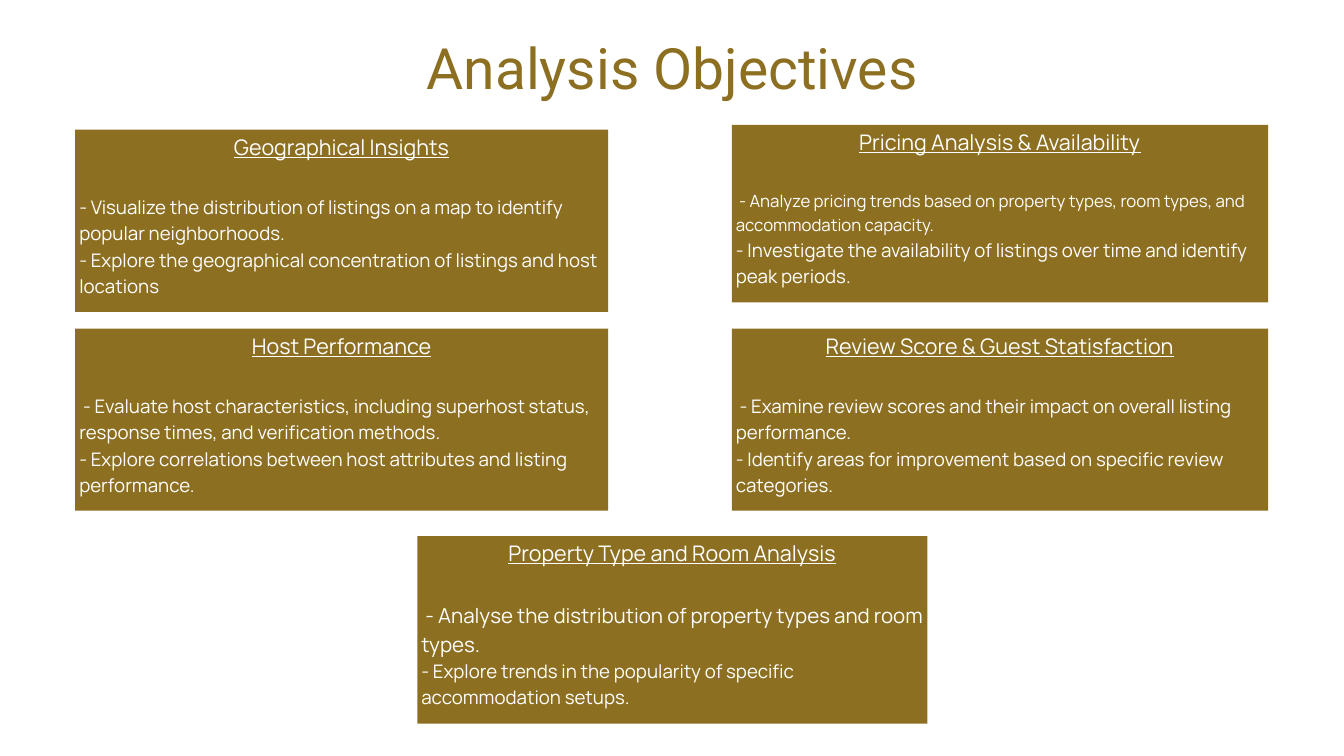
"""Build the Analysis Objectives slide: a title over five objective cards."""
import pptx
import pptx.dml.color
import pptx.enum.shapes
import pptx.enum.text
import pptx.util

GOLD = pptx.dml.color.RGBColor(0x8D, 0x6F, 0x22)
WHITE = pptx.dml.color.RGBColor(0xFF, 0xFF, 0xFF)
WIDTH, HEIGHT = pptx.util.Inches(20), pptx.util.Inches(11.25)
HEADING_FONT, BODY_FONT = "Roboto", "Manrope"
HEADING_SIZE, BODY_SIZE = 23, 20
LINE_RATIO = 1.4

LEFT, RIGHT, MIDDLE = (5.6, 39.65), (54.45, 39.9), (31.05, 37.95)
TOP_LEFT, TOP_RIGHT = (17.16, 24.09), (16.53, 23.47)
CENTRE, BOTTOM = (43.47, 24.09), (70.93, 24.8)

CARDS = [
    (LEFT, TOP_LEFT, "Geographical Insights", [
        ("- Visualize the distribution of listings on a map to identify popular neighborhoods.", BODY_SIZE),
        ("- Explore the geographical concentration of listings and host locations", BODY_SIZE)]),
    (RIGHT, TOP_RIGHT, "Pricing Analysis & Availability", [
        (" - Analyze pricing trends based on property types, room types, and accommodation capacity.", 18),
        ("- Investigate the availability of listings over time and identify peak periods.", BODY_SIZE)]),
    (LEFT, CENTRE, "Host Performance", [
        (" - Evaluate host characteristics, including superhost status, response times, "
         "and verification methods.", BODY_SIZE),
        ("- Explore correlations between host attributes and listing performance.", BODY_SIZE)]),
    (RIGHT, CENTRE, "Review Score & Guest Statisfaction", [
        (" - Examine review scores and their impact on overall listing performance.", BODY_SIZE),
        ("- Identify areas for improvement based on specific review categories.", BODY_SIZE)]),
    (MIDDLE, BOTTOM, "Property Type and Room Analysis", [
        (" - Analyse the distribution of property types and room types.", 22),
        ("- Explore trends in the popularity of specific accommodation setups.", BODY_SIZE)]),
]


def box(column, row):
    """Turn a column and a row, in percent of the slide, into a position and size."""
    (x, w), (y, h) = column, row
    return [round(side * share / 100)
            for side, share in ((WIDTH, x), (HEIGHT, y), (WIDTH, w), (HEIGHT, h))]


def format_frame(tf, side=0.0):
    """Wrap the text from the top of its box with the given side margins."""
    tf.word_wrap = True
    tf.auto_size = pptx.enum.text.MSO_AUTO_SIZE.NONE
    tf.vertical_anchor = pptx.enum.text.MSO_ANCHOR.TOP
    tf.margin_top = tf.margin_bottom = 0
    tf.margin_left = tf.margin_right = pptx.util.Inches(side)


def write(p, text, font, size, color, spacing, align):
    """Write one run into a paragraph with exact line spacing."""
    p.alignment = align
    p.line_spacing = pptx.util.Pt(spacing)
    p.space_before = pptx.util.Pt(0)
    r = p.add_run()
    r.text = text
    r.font.name, r.font.size = font, pptx.util.Pt(size)
    r.font.color.rgb = color
    return r


def add_title(s, text):
    """Fill and place the title placeholder."""
    sp = s.shapes.title
    sp.left, sp.top, sp.width, sp.height = box((27.5, 45), (5.16, 8.62))
    format_frame(sp.text_frame)
    write(sp.text_frame.paragraphs[0], text, HEADING_FONT, 61, GOLD, 65.9,
          pptx.enum.text.PP_ALIGN.CENTER)


def add_card(s, column, row, heading, objectives):
    """Add a filled card with an underlined heading and its objectives."""
    sp = s.shapes.add_shape(pptx.enum.shapes.MSO_SHAPE.RECTANGLE, *box(column, row))
    sp.shadow.inherit = False
    sp.fill.solid()
    sp.fill.fore_color.rgb = GOLD
    sp.line.fill.background()
    tf = sp.text_frame
    format_frame(tf, 0.06)
    r = write(tf.paragraphs[0], heading, BODY_FONT, HEADING_SIZE, WHITE,
              HEADING_SIZE * LINE_RATIO, pptx.enum.text.PP_ALIGN.CENTER)
    r.font.underline = True
    tf.paragraphs[0].space_after = pptx.util.Pt(35)
    for text, size in objectives:
        write(tf.add_paragraph(), text, BODY_FONT, size, WHITE,
              size * LINE_RATIO, pptx.enum.text.PP_ALIGN.LEFT)


def main():
    """Build and save the slide."""
    prs = pptx.Presentation()
    prs.slide_width, prs.slide_height = WIDTH, HEIGHT
    s = prs.slides.add_slide(prs.slide_layouts.get_by_name("Title Only"))
    add_title(s, "Analysis Objectives")
    for card in CARDS:
        add_card(s, *card)
    prs.save("out.pptx")


if __name__ == "__main__":
    main()
